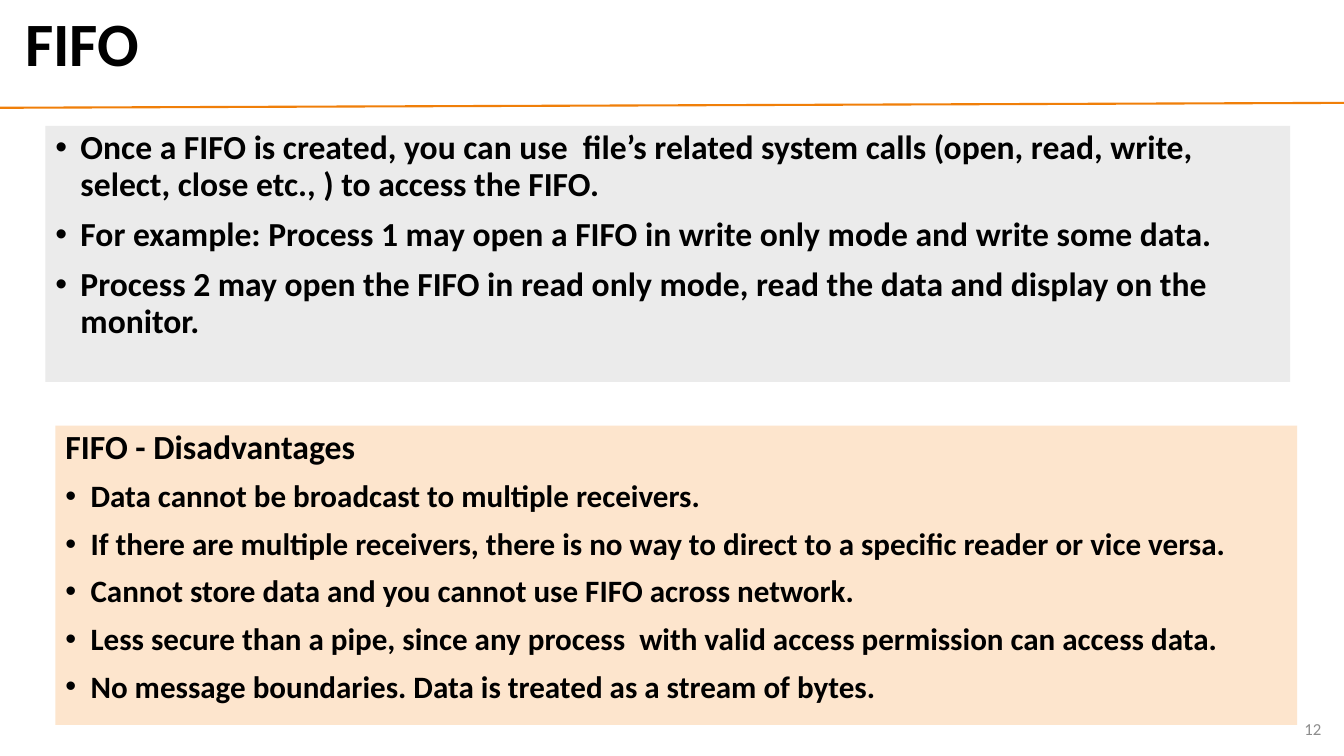
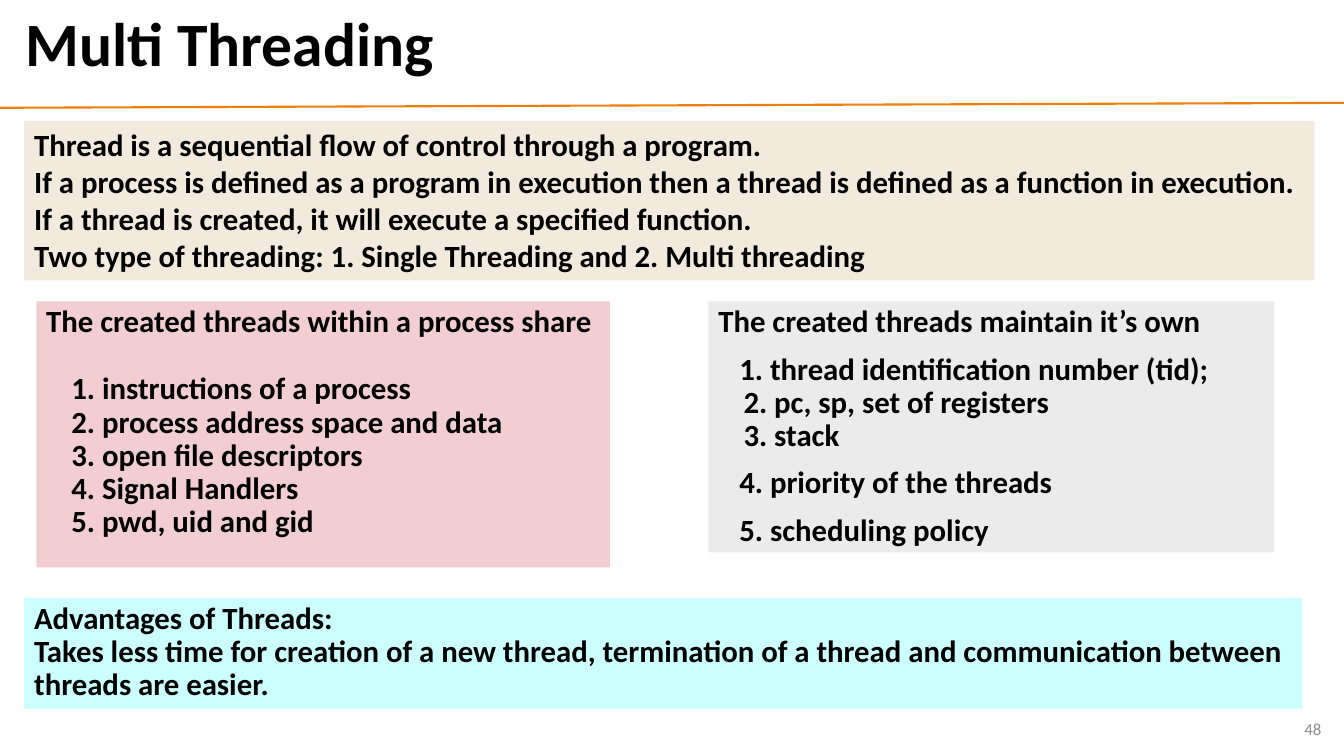
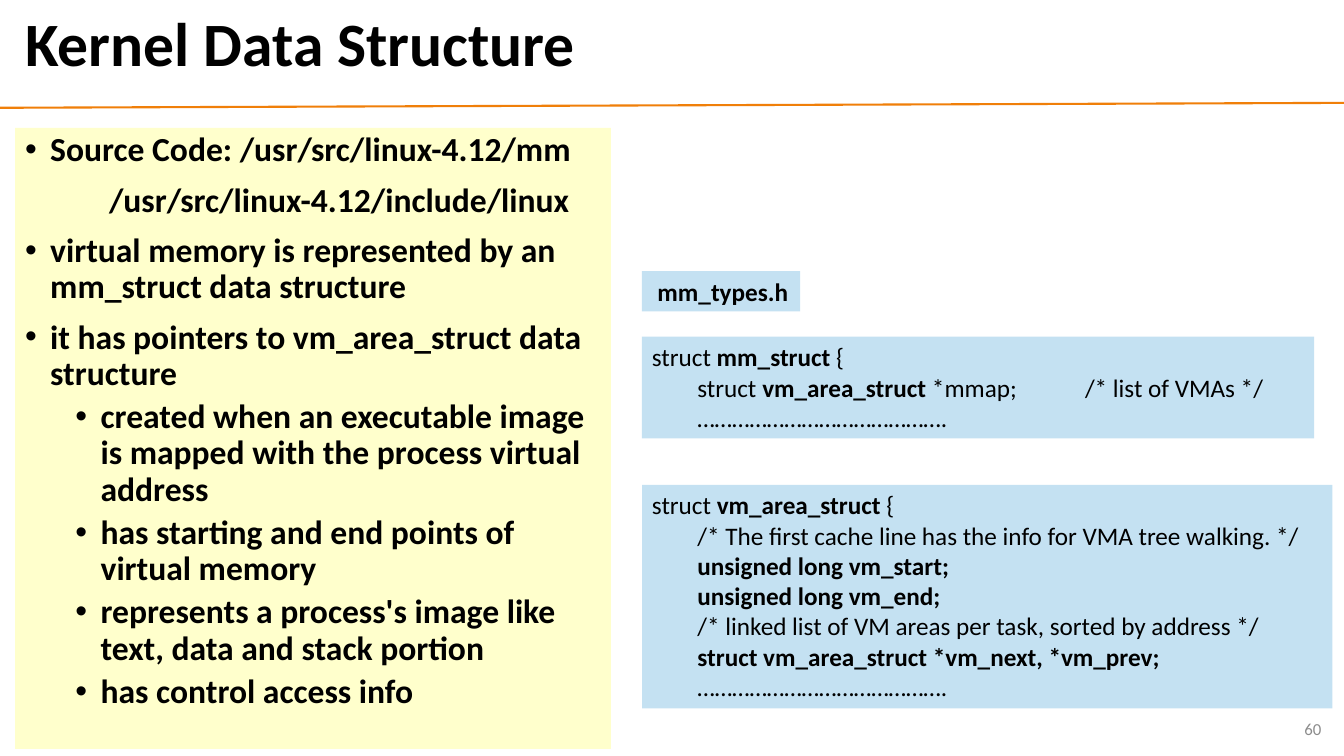
from lxml import etree
from pptx import Presentation
from pptx.dml.color import RGBColor
from pptx.enum.shapes import MSO_CONNECTOR, MSO_SHAPE
from pptx.enum.text import MSO_ANCHOR, PP_ALIGN
from pptx.oxml.ns import qn
from pptx.util import Pt

RECT = MSO_SHAPE.RECTANGLE
LINE = MSO_CONNECTOR.STRAIGHT
TOP, MID = MSO_ANCHOR.TOP, MSO_ANCHOR.MIDDLE
LEFT, RIGHT, BOTH = PP_ALIGN.LEFT, PP_ALIGN.RIGHT, PP_ALIGN.JUSTIFY

FONT = "Calibri"
WIDE, HIGH = 960, 540
HUES = {
    "ink": "000000", "page": "8C8C8C", "rule": "F07F09",
    "gray": "EBEBEB", "peach": "FDE5CD", "sand": "F3EADE",
    "pink": "F2CED2", "aqua": "CCFFFF", "lemon": "FFFFCC", "sky": "C4E1F2",
}
# kind: left, hang, space before, level, bullet
KINDS = {
    "plain": (0, 0, 0, 0, False),
    "item": (18, -18, 10, 0, True),
    "sub": (54, -18, 5, 1, True),
    "cont": (60, 0, 10, 0, False),
    "start": (18, 0, 24, 0, False),
    "list": (18, 0, 0, 0, False),
    "step": (15, 0, 10, 0, False),
    "name": (4, 0, 0, 0, False),
}


def hue(name):
    return RGBColor.from_string(HUES[name])


class Deck:
    def __init__(self):
        self.file = Presentation()
        self.file.slide_width = Pt(WIDE)
        self.file.slide_height = Pt(HIGH)
        self.slide = None

    def start(self, title, page):
        self.slide = self.file.slides.add_slide(self.file.slide_layouts[5])
        self.rule()
        self.title(title)
        self.page(page)

    def rule(self):
        line = self.slide.shapes.add_connector(
            LINE, Pt(0), Pt(77), Pt(WIDE), Pt(73.5))
        line.line.color.rgb = hue("rule")
        line.line.width = Pt(1.5)
        etree.SubElement(line._element.spPr, qn("a:effectLst"))

    def title(self, text):
        box = self.slide.shapes.title
        box.left, box.top, box.width, box.height = map(Pt, (10.8, 3.6, 928, 60))
        frame = box.text_frame
        frame.text = text
        frame.vertical_anchor = MID
        para = frame.paragraphs[0]
        para.alignment = LEFT
        para.line_spacing = 0.9
        self.style(para.runs[0], 44, True)

    def page(self, text):
        box = self.slide.shapes.add_textbox(*map(Pt, (735, 506, 216, 29)))
        frame = box.text_frame
        frame.word_wrap = True
        frame.vertical_anchor = MID
        frame.text = text
        para = frame.paragraphs[0]
        para.alignment = RIGHT
        self.style(para.runs[0], 12, False, "page")

    def style(self, run, size, bold, ink="ink"):
        font = run.font
        font.name, font.size, font.bold = FONT, Pt(size), bold
        font.color.rgb = hue(ink)

    def box(self, at, fill):
        box = self.slide.shapes.add_shape(RECT, *map(Pt, at))
        box.shadow.inherit = False
        box.fill.solid()
        box.fill.fore_color.rgb = hue(fill)
        box.line.fill.background()
        box.text_frame.word_wrap = True
        box.text_frame.vertical_anchor = TOP
        return box.text_frame

    def panel(self, at, fill, rows, size=22, space=0.9, align=LEFT):
        frame = self.box(at, fill)
        frame.text = "\n".join(text for _, text in rows)
        for spot, (para, (kind, _)) in enumerate(zip(frame.paragraphs, rows)):
            left, hang, before, level, dot = KINDS[kind]
            para.alignment = align
            para.level = level
            para.line_spacing = space
            para.space_before = Pt(before if spot else 0)
            props = para._p.get_or_add_pPr()
            props.set("marL", str(Pt(left)))
            props.set("indent", str(Pt(hang)))
            if dot:
                etree.SubElement(props, qn("a:buFont")).set("typeface", "Arial")
                etree.SubElement(props, qn("a:buChar")).set("char", "•")
            for run in para.runs:
                self.style(run, size, True)
        return frame

    def code(self, at, lines):
        frame = self.box(at, "sky")
        for spot, line in enumerate(lines):
            para = frame.paragraphs[0] if spot == 0 else frame.add_paragraph()
            para.alignment = LEFT
            for turn, text in enumerate(line.split("|")):
                if text:
                    run = para.add_run()
                    run.text = text
                    self.style(run, 18, turn % 2 == 1)


def rows(kind, *texts):
    return [(kind, text) for text in texts]


def fifo(deck):
    deck.start("FIFO", "12")
    deck.panel((32.4, 90, 889.2, 182.9), "gray", rows(
        "item",
        "Once a FIFO is created, you can use  file’s related system calls (open, read, write, select, close etc., ) to access the FIFO.",
        "For example: Process 1 may open a FIFO in write only mode and write some data.",
        "Process 2 may open the FIFO in read only mode, read the data and display on the monitor.",
    ), 24)
    frame = deck.panel(
        (39.6, 304, 887, 213.8), "peach",
        rows("plain", "FIFO - Disadvantages") + rows(
            "item",
            "Data cannot be broadcast to multiple receivers.",
            "If there are multiple receivers, there is no way to direct to a specific reader or vice versa.",
            "Cannot store data and you cannot use FIFO across network.",
            "Less secure than a pipe, since any process  with valid access permission can access data.",
            "No message boundaries. Data is treated as a stream of bytes.",
        ), 22.2, align=BOTH)
    deck.style(frame.paragraphs[0].runs[0], 24.1, True)


def threads(deck):
    deck.start("Multi Threading", "48")
    deck.panel((17.3, 86.4, 921.6, 113.8), "sand", rows(
        "plain",
        "Thread is a sequential flow of control through a program.",
        "If a process is defined as a program in execution then a thread is defined as a function in execution.",
        "If a thread is created, it will execute a specified function.",
        "Two type of threading: 1. Single Threading and 2. Multi threading",
    ), space=1.0)
    deck.panel(
        (25.9, 215.3, 409.7, 190), "pink",
        rows("plain", "The created threads within a process share")
        + rows("start", "1. instructions of a process")
        + rows("list", "2. process address space and data",
               "3. open file descriptors", "4. Signal Handlers",
               "5. pwd, uid and gid"))
    deck.panel(
        (506, 215.3, 403.9, 179.3), "gray",
        rows("plain", "The created threads maintain it’s own")
        + rows("step", "1. thread identification number (tid);")
        + rows("list", "2. pc, sp, set of registers", "3. stack")
        + rows("step", "4. priority of the threads", "5. scheduling policy"))
    deck.panel((17.3, 427, 913, 79.2), "aqua", rows(
        "plain",
        "Advantages of Threads:",
        "Takes less time for creation of a new thread, termination of a thread and communication between threads are easier.",
    ))


def kernel(deck):
    deck.start("Kernel Data Structure", "60")
    deck.panel(
        (10.8, 91.4, 425.5, 443.5), "lemon",
        rows("item", "Source Code: /usr/src/linux-4.12/mm")
        + rows("cont", "/usr/src/linux-4.12/include/linux")
        + rows("item",
               "virtual memory is represented by an mm_struct data structure",
               "it has pointers to vm_area_struct data structure")
        + rows("sub",
               "created when an executable image is mapped with the process virtual address",
               "has starting and end points of virtual memory",
               "represents a process's image like text, data and stack portion",
               "has control access info"), 24)
    left = 458.6
    deck.code((left, 346.3, 493.2, 159.8), [
        "struct |vm_area_struct| {",
        "        /* The first cache line has the info for VMA tree walking. */",
        "|        unsigned long vm_start;",
        "|        unsigned long vm_end;",
        "        /* linked list of VM areas per task, sorted by address */",
        "|        struct vm_area_struct *vm_next, *vm_prev;",
        "        …………………………………….",
    ])
    deck.code((left, 240.5, 480.2, 72.7), [
        "struct |mm_struct| {",
        "        struct |vm_area_struct| *mmap;            /* list of VMAs */",
        "        …………………………………….",
    ])
    deck.panel((left, 193.7, 113, 28.8), "sky", rows("name", "mm_types.h"),
               18, 1.0)


def main():
    deck = Deck()
    for build in (fifo, threads, kernel):
        build(deck)
    deck.file.save("out.pptx")


if __name__ == "__main__":
    main()
